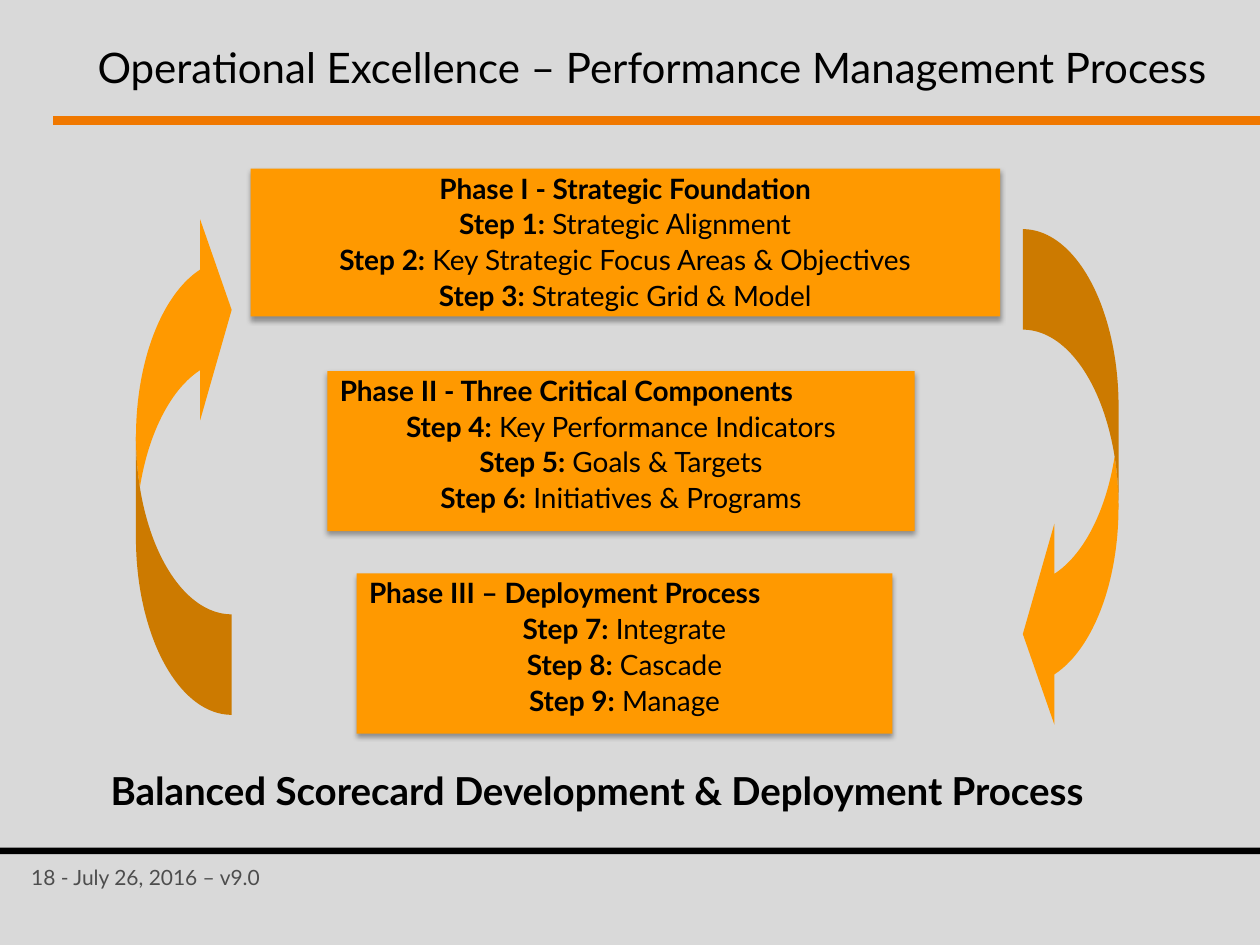
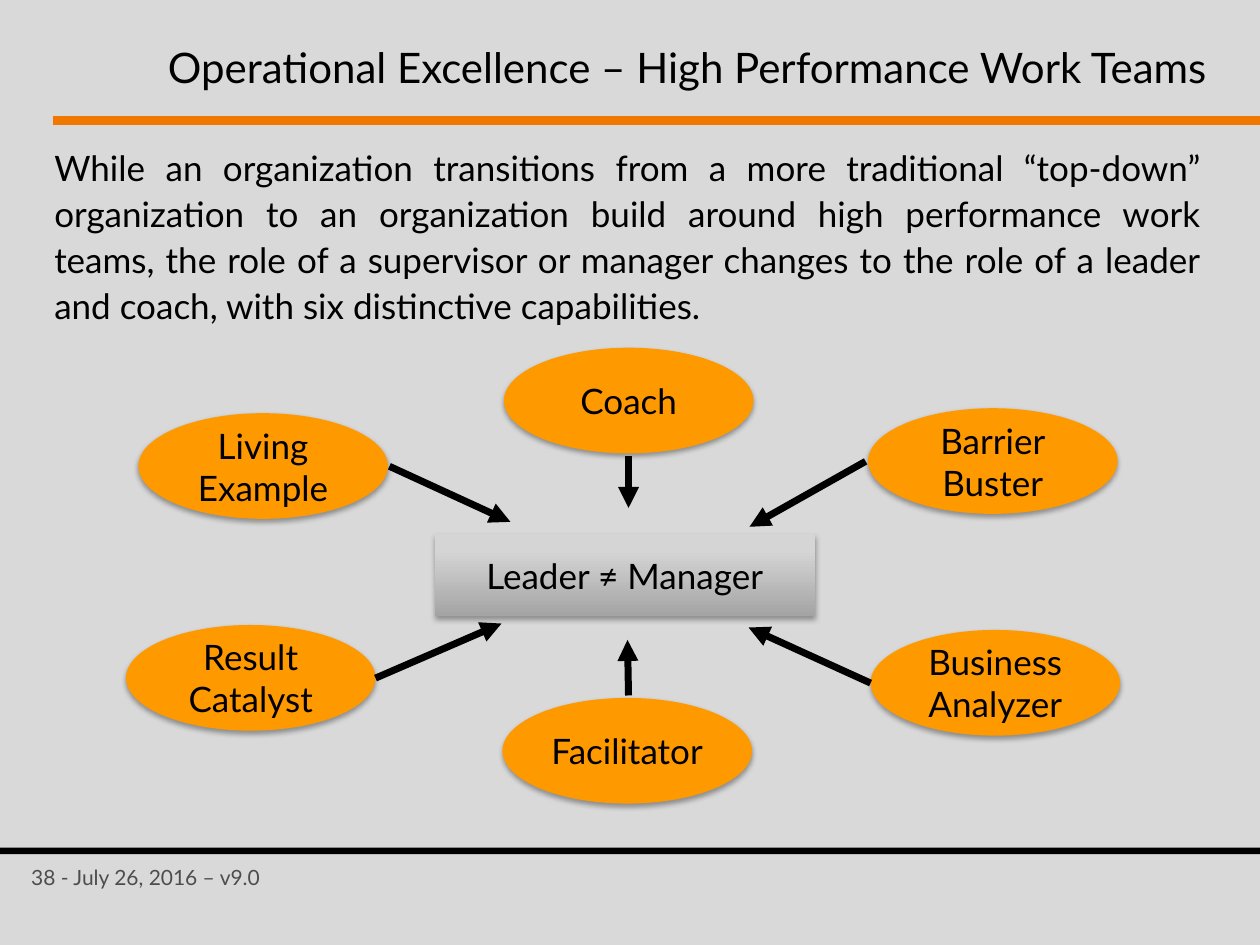
import dataclasses

import pptx
import pptx.dml.color
import pptx.enum.dml
import pptx.enum.shapes
import pptx.enum.text
import pptx.oxml
import pptx.oxml.ns
import pptx.util
from pptx.util import Cm

ALIGN = pptx.enum.text.PP_ALIGN
ANCHOR = pptx.enum.text.MSO_ANCHOR
FIT = pptx.enum.text.MSO_AUTO_SIZE
SHAPE = pptx.enum.shapes.MSO_SHAPE
DRAWING_NS = pptx.oxml.ns.nsdecls("a")


@dataclasses.dataclass(frozen=True)
class Theme:
    font: str = "Lato"
    background: str = "D9D9D9"
    ink: str = "000000"
    footer_ink: str = "4D4D4D"
    band: str = "F07800"
    accent: str = "FF9900"
    grey_dark: str = "A4A4A4"
    grey_light: str = "D5D5D5"
    title_size: int = 24
    summary_size: int = 22
    body_size: int = 20
    phase_size: int = 16
    footer_size: int = 12
    arrow_width: int = 4


def rgb(code):
    return pptx.dml.color.RGBColor.from_string(code)


class Builder:
    """Holds the deck, its style and the current page."""

    def __init__(self, theme):
        self.theme = theme
        self.deck = pptx.Presentation()
        self.deck.slide_width, self.deck.slide_height = Cm(25.4), Cm(19.05)
        fill = self.deck.slide_master.background.fill
        fill.solid()
        fill.fore_color.rgb = rgb(theme.background)

    def new_page(self, title, number):
        """Start a page with its title, bands and footer."""
        theme = self.theme
        self.page = self.deck.slides.add_slide(self.deck.slide_layouts[1])
        heading = self.page.shapes.title
        self.place(heading, 0.97, 0.53, 23.6, 1.63)
        self.set_text(heading, [title], theme.title_size, ALIGN.RIGHT,
                      ANCHOR.MIDDLE)
        self.shape(SHAPE.RECTANGLE, 1.07, 2.34, 24.33, 0.18, theme.band)
        self.shape(SHAPE.RECTANGLE, 0, 17.09, 25.4, 0.13, theme.ink)
        self.label(f"{number} - July 26, 2016 – v9.0", 0.38, 17.3, 6.43, 0.76,
                   theme.footer_size, color=theme.footer_ink)

    def place(self, box, left, top, width, height):
        box.left, box.top = Cm(left), Cm(top)
        box.width, box.height = Cm(width), Cm(height)

    def body(self, left, top, width, height):
        box = self.page.placeholders[1]
        self.place(box, left, top, width, height)
        return box

    def shape(self, kind, left, top, width, height, color):
        box = self.page.shapes.add_shape(
            kind, Cm(left), Cm(top), Cm(width), Cm(height))
        box.shadow.inherit = False
        box.line.fill.background()
        self.paint(box, color)
        return box

    def paint(self, box, color):
        box.fill.solid()
        box.fill.fore_color.rgb = rgb(color)

    def shade(self, box):
        """Give a box the soft shadow that falls straight down."""
        box.shadow.inherit = False
        effects = box._element.spPr.find(pptx.oxml.ns.qn("a:effectLst"))
        effects.append(pptx.oxml.parse_xml(
            f'<a:outerShdw {DRAWING_NS} blurRad="{pptx.util.Pt(3.1)}" '
            f'dist="{pptx.util.Pt(1.8)}" dir="5400000" rotWithShape="0">'
            f'<a:srgbClr val="{self.theme.ink}"><a:alpha val="35000"/>'
            '</a:srgbClr></a:outerShdw>'))

    def style(self, span, size, bold=False, color=None):
        span.font.name = self.theme.font
        span.font.size = pptx.util.Pt(size)
        span.font.bold = bold
        span.font.color.rgb = rgb(color or self.theme.ink)

    def set_text(self, box, lines, size, align=ALIGN.LEFT, anchor=ANCHOR.TOP,
                 bold=False, color=None, wrap=True):
        frame = box.text_frame
        frame.text = "\n".join(lines)
        frame.word_wrap = wrap
        frame.auto_size = FIT.NONE
        frame.vertical_anchor = anchor
        for para in frame.paragraphs:
            para.alignment = align
            for span in para.runs:
                self.style(span, size, bold, color)

    def label(self, text, left, top, width, height, size, **options):
        box = self.page.shapes.add_textbox(
            Cm(left), Cm(top), Cm(width), Cm(height))
        self.set_text(box, [text], size, **options)

    def space(self, para, line, before):
        """Set line spacing and space above, without bullet or indent."""
        para.line_spacing = line
        para.space_before = pptx.util.Pt(before)
        properties = para._p.get_or_add_pPr()
        properties.set("marL", "0")
        properties.set("indent", "0")
        properties.append(pptx.oxml.parse_xml(f"<a:buNone {DRAWING_NS}/>"))

    def phase(self, box, heading, heading_align, first_step, steps):
        """Fill a phase box: bold heading, then numbered steps."""
        size = self.theme.phase_size
        self.paint(box, self.theme.accent)
        self.shade(box)
        self.set_text(box, [heading], size, heading_align, bold=True)
        frame = box.text_frame
        for number, step in enumerate(steps, first_step):
            para = frame.add_paragraph()
            para.alignment = ALIGN.CENTER
            for text, bold in ((f"Step {number}:", True), (f" {step}", False)):
                span = para.add_run()
                span.text = text
                self.style(span, size, bold)
        for para in frame.paragraphs:
            self.space(para, 0.9, 0.2 * size)
        frame.auto_size = FIT.SHAPE_TO_FIT_TEXT

    def node(self, kind, lines, left, top, width, height):
        box = self.shape(kind, left, top, width, height, self.theme.accent)
        self.shade(box)
        self.set_text(box, lines, self.theme.body_size, ALIGN.CENTER,
                      ANCHOR.MIDDLE, wrap=False)
        return box

    def arrow(self, start, end):
        line = self.page.shapes.add_connector(
            pptx.enum.shapes.MSO_CONNECTOR.STRAIGHT,
            *(Cm(length) for length in start + end))
        line.line.width = pptx.util.Pt(self.theme.arrow_width)
        line.line.color.rgb = rgb(self.theme.ink)
        line.line._get_or_add_ln().append(
            pptx.oxml.parse_xml(f'<a:tailEnd {DRAWING_NS} type="triangle"/>'))
        line._element.spPr.append(
            pptx.oxml.parse_xml(f"<a:effectLst {DRAWING_NS}/>"))


PHASES = [
    ("Phase I - Strategic Foundation", ALIGN.CENTER, 5.05, 15.11,
     ["Strategic Alignment", "Key Strategic Focus Areas & Objectives",
      "Strategic Grid & Model"]),
    ("Phase II - Three Critical Components", ALIGN.LEFT, 6.6, 11.84,
     ["Key Performance Indicators", "Goals & Targets",
      "Initiatives & Programs"]),
    ("Phase III – Deployment Process", ALIGN.LEFT, 7.19, 10.8,
     ["Integrate", "Cascade", "Manage"]),
]

# Words, left and top of the ellipse, start and end of its arrow
CAPABILITIES = [
    (["Coach"], 10.16, 7.01, (12.67, 9.19), (12.67, 10.24)),
    (["Facilitator"], 10.13, 14.07, (12.67, 14.02), (12.65, 12.9)),
    (["Result", "Catalyst"], 2.54, 12.6, (7.57, 13.67), (10.11, 12.57)),
    (["Living", "Example"], 2.79, 8.33, (7.85, 9.4), (10.29, 10.52)),
    (["Business", "Analyzer"], 17.55, 12.7, (17.55, 13.77), (15.09, 12.65)),
    (["Barrier", "Buster"], 17.5, 8.23, (17.45, 9.3), (15.11, 10.62)),
]


def add_process_page(builder):
    theme = builder.theme
    builder.new_page(
        "Operational Excellence – Performance Management Process", 18)

    # Three phases of three steps; the first one is the page body
    for index, (heading, align, left, width, steps) in enumerate(PHASES):
        area = (left, 3.4 + 4.08 * index, width, 3.23)
        if index == 0:
            box = builder.body(*area)
        else:
            box = builder.shape(SHAPE.RECTANGLE, *area, theme.accent)
        builder.phase(box, heading, align, 3 * index + 1, steps)

    # Cycle arrows on both sides
    for left, top, turn in ((20.62, 4.62, 0), (2.74, 4.22, 180)):
        cycle = builder.shape(
            SHAPE.CURVED_LEFT_ARROW, left, top, 1.93, 10.19, theme.accent)
        cycle.rotation = turn
        for index, value in enumerate((1.05, 2.1, 0.33)):
            cycle.adjustments[index] = value

    builder.label("Balanced Scorecard Development & Deployment Process",
                  1.98, 15.34, 21.97, 1.19, theme.summary_size, bold=True)


def add_teams_page(builder):
    theme = builder.theme
    builder.new_page("Operational Excellence – High Performance Work Teams", 38)

    # Introduction
    intro = builder.body(0.84, 2.74, 23.62, 4.01)
    builder.set_text(intro, [
        "While an organization transitions from a more traditional “top-down” "
        "organization to an organization build around high performance work "
        "teams, the role of a supervisor or manager changes to the role of a "
        "leader and coach, with six distinctive capabilities."],
        theme.body_size, ALIGN.JUSTIFY)
    builder.space(intro.text_frame.paragraphs[0], 1.1, 0.4 * theme.body_size)

    # Centre box, dark at the bottom
    centre = builder.node(SHAPE.RECTANGLE, ["Leader ≠ Manager"],
                          8.76, 10.77, 7.67, 1.65)
    centre.fill.gradient()
    centre.fill.gradient_angle = 90
    shades = ((0, theme.grey_dark), (0.8, theme.grey_light))
    for stop, (position, color) in zip(centre.fill.gradient_stops, shades):
        stop.position = position
        stop.color.rgb = rgb(color)

    # Six capabilities pointing to the centre
    for words, left, top, start, end in CAPABILITIES:
        builder.node(SHAPE.OVAL, words, left, top, 5.03, 2.13)
        builder.arrow(start, end)


def main():
    builder = Builder(Theme())
    add_process_page(builder)
    add_teams_page(builder)
    builder.deck.save("out.pptx")


if __name__ == "__main__":
    main()
